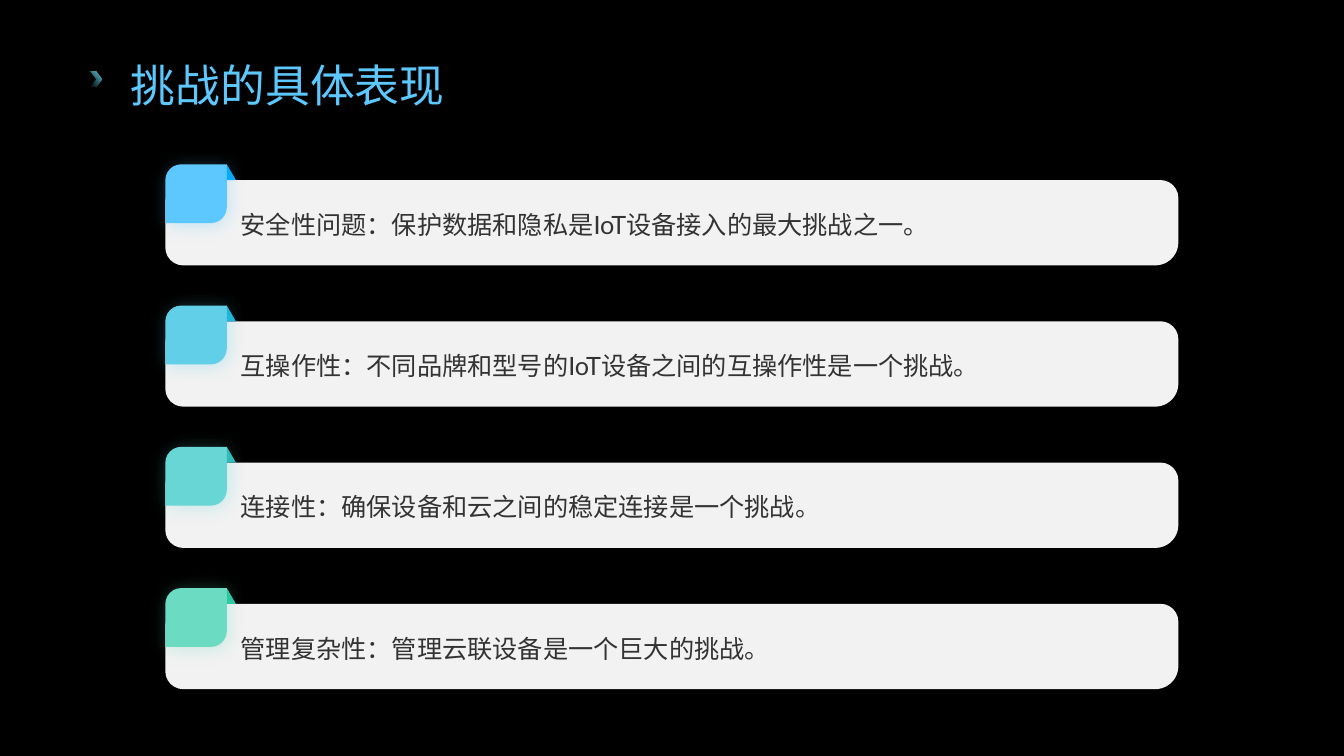
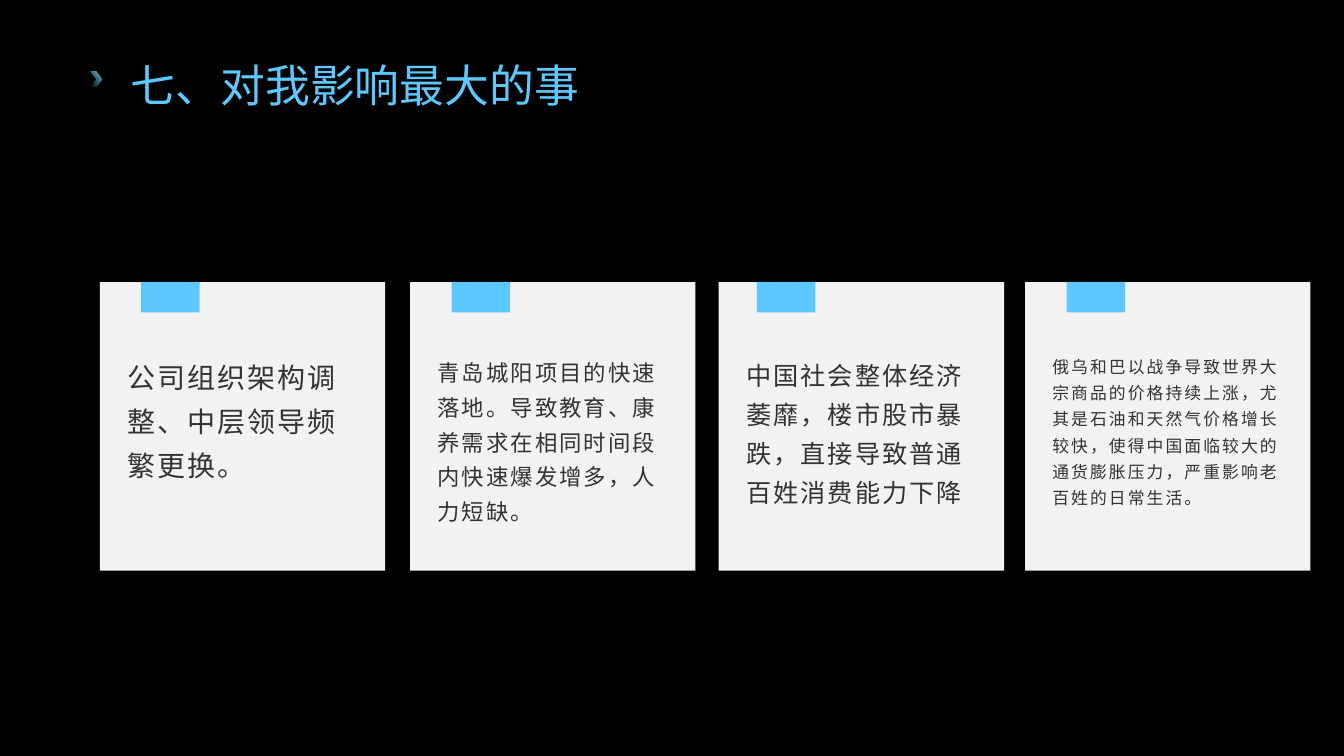
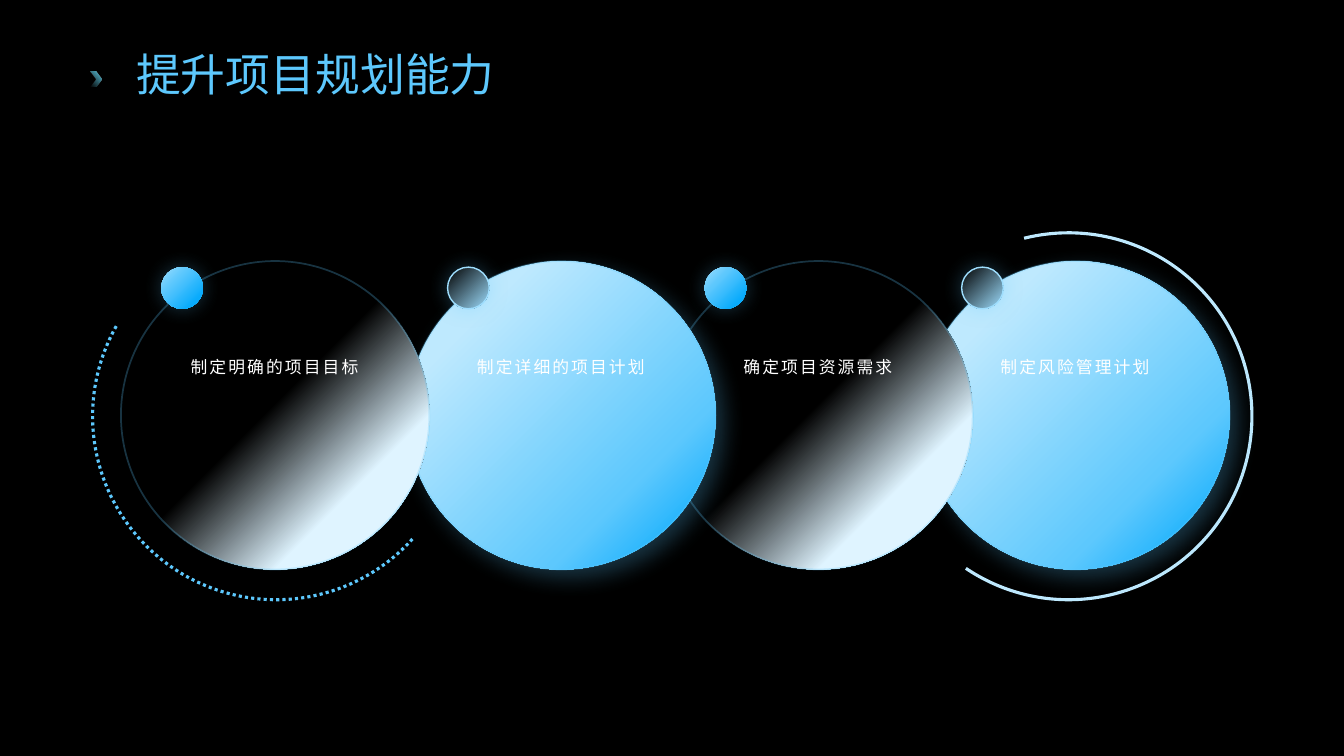
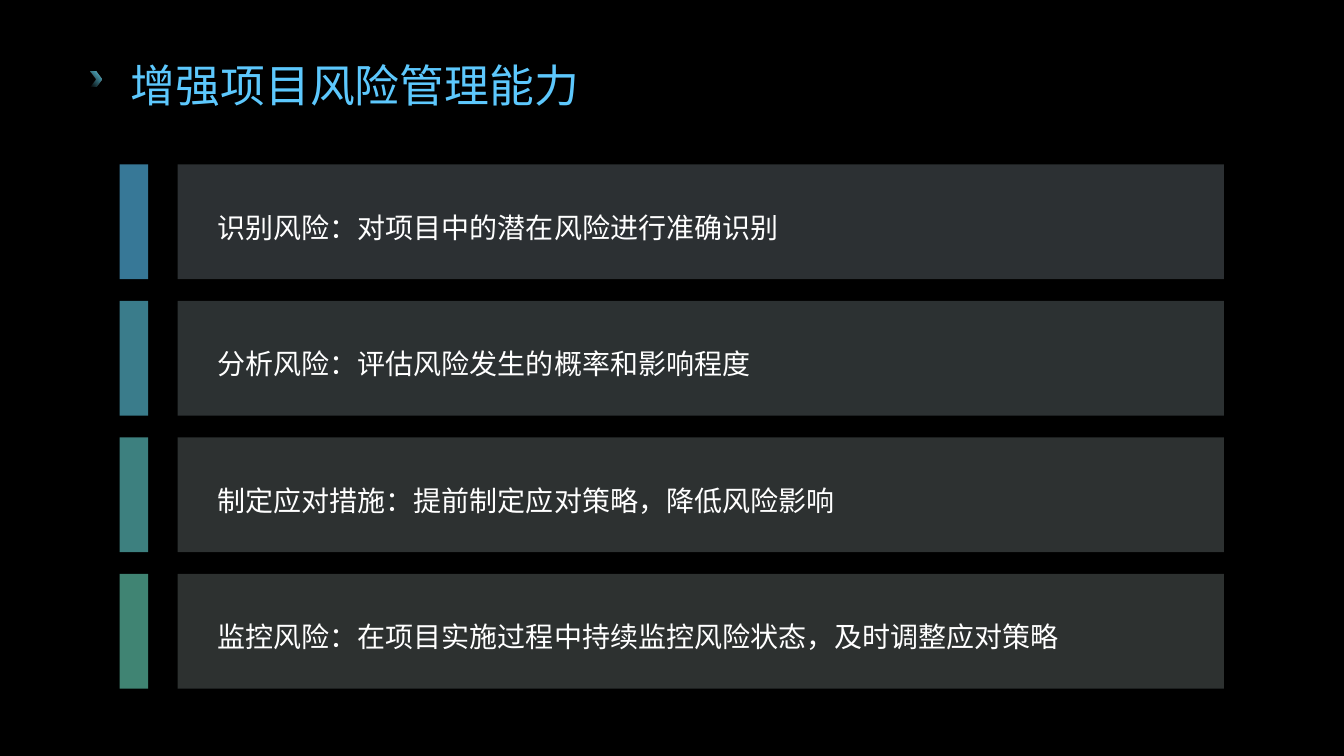
from dataclasses import dataclass
from typing import NamedTuple, Optional

from lxml.etree import SubElement
from pptx import Presentation
from pptx.dml.color import RGBColor
from pptx.enum.dml import MSO_LINE
from pptx.enum.shapes import MSO_SHAPE
from pptx.enum.text import MSO_ANCHOR, PP_ALIGN
from pptx.oxml.ns import qn
from pptx.shapes.autoshape import Shape
from pptx.slide import Slide
from pptx.util import Pt

BLACK = RGBColor(0x00, 0x00, 0x00)
WHITE = RGBColor(0xFF, 0xFF, 0xFF)
INK = RGBColor(0x33, 0x33, 0x33)
PANEL = RGBColor(0xF2, 0xF2, 0xF2)
SKY = RGBColor(0x5D, 0xC8, 0xFD)
CYAN = RGBColor(0x62, 0xCF, 0xE9)
TEAL = RGBColor(0x67, 0xD6, 0xD5)
MINT = RGBColor(0x6B, 0xDC, 0xC1)
DEEP_SKY = RGBColor(0x08, 0xAB, 0xFC)
DEEP_CYAN = RGBColor(0x1F, 0xB6, 0xDA)
DEEP_TEAL = RGBColor(0x33, 0xBB, 0xBA)
DEEP_MINT = RGBColor(0x2F, 0xC6, 0xA2)
SOFT_SKY = RGBColor(0x9E, 0xDE, 0xFE)
LIGHT_SKY = RGBColor(0xBE, 0xE9, 0xFE)
PALE_SKY = RGBColor(0xDF, 0xF4, 0xFF)
PALE_CYAN = RGBColor(0xE0, 0xF5, 0xFB)
PALE_TEAL = RGBColor(0xE1, 0xF7, 0xF7)
PALE_MINT = RGBColor(0xE1, 0xF8, 0xF3)

FONT = "Lato"


class Area(NamedTuple):
    left: float
    top: float
    width: float
    height: float


class Stop(NamedTuple):
    position: int
    colour: RGBColor
    opacity: int = 100


class Glow(NamedTuple):
    colour: RGBColor
    opacity: int
    blur: float
    distance: float
    angle: int


@dataclass(frozen=True)
class TextStyle:
    size: float
    colour: RGBColor
    line_spacing: float
    tracking: float = 0
    align: PP_ALIGN = PP_ALIGN.LEFT
    anchor: MSO_ANCHOR = MSO_ANCHOR.TOP
    insets: tuple[float, float, float, float] = (7.2, 3.6, 7.2, 3.6)


@dataclass(frozen=True)
class Challenge:
    text: str
    tab: RGBColor
    fold: RGBColor


@dataclass(frozen=True)
class Event:
    left: float
    tab_left: float
    size: float
    text: str


@dataclass(frozen=True)
class Goal:
    left: float
    text: str
    is_light: bool


@dataclass(frozen=True)
class Step:
    text: str
    marker: RGBColor
    band: RGBColor


TITLE = TextStyle(32, SKY, 1.2, anchor=MSO_ANCHOR.MIDDLE, insets=(7.2, 0, 7.2, 0))
CHALLENGE_TEXT = TextStyle(18, INK, 1.5, anchor=MSO_ANCHOR.MIDDLE, insets=(7.2, 0, 7.2, 8.6))
GOAL_TEXT = TextStyle(12, WHITE, 1.3, 1.5, PP_ALIGN.CENTER, insets=(0, 0, 0, 0))
STEP_TEXT = TextStyle(20, WHITE, 1.3, anchor=MSO_ANCHOR.MIDDLE)

CHEVRON_STOPS = [Stop(0, CYAN, 0), Stop(100, CYAN)]
LIGHT_DISC = [Stop(20, LIGHT_SKY), Stop(73, SKY), Stop(94, DEEP_SKY)]
DARK_DISC = [Stop(48, BLACK), Stop(75, PALE_SKY)]
DARK_DOT = [Stop(0, BLACK), Stop(100, SOFT_SKY)]
LIGHT_DOT = [Stop(0, SOFT_SKY), Stop(33, SKY), Stop(82, DEEP_SKY)]
DISC_GLOW = Glow(SKY, 25, 16, 8, 45)
DOT_GLOW = Glow(SKY, 28, 15, 0, 0)

CHALLENGES = [
    Challenge("安全性问题：保护数据和隐私是IoT设备接入的最大挑战之一。", SKY, DEEP_SKY),
    Challenge("互操作性：不同品牌和型号的IoT设备之间的互操作性是一个挑战。", CYAN, DEEP_CYAN),
    Challenge("连接性：确保设备和云之间的稳定连接是一个挑战。", TEAL, DEEP_TEAL),
    Challenge("管理复杂性：管理云联设备是一个巨大的挑战。", MINT, DEEP_MINT),
]
EVENTS = [
    Event(71.3, 100.8, 20, "公司组织架构调整、中层领导频繁更换。"),
    Event(293, 322.6, 16,
          "青岛城阳项目的快速落地。导致教育、康养需求在相同时间段内快速爆发增多，人力短缺。"),
    Event(513.4, 540.7, 18, "中国社会整体经济萎靡，楼市股市暴跌，直接导致普通百姓消费能力下降"),
    Event(732.2, 761.8, 12,
          "俄乌和巴以战争导致世界大宗商品的价格持续上涨，尤其是石油和天然气价格增长较快，"
          "使得中国面临较大的通货膨胀压力，严重影响老百姓的日常生活。"),
]
GOALS = [
    Goal(86.4, "制定明确的项目目标", False),
    Goal(290.9, "制定详细的项目计划", True),
    Goal(474.5, "确定项目资源需求", False),
    Goal(658.1, "制定风险管理计划", True),
]
STEPS = [
    Step("识别风险：对项目中的潜在风险进行准确识别", SKY, PALE_SKY),
    Step("分析风险：评估风险发生的概率和影响程度", CYAN, PALE_CYAN),
    Step("制定应对措施：提前制定应对策略，降低风险影响", TEAL, PALE_TEAL),
    Step("监控风险：在项目实施过程中持续监控风险状态，及时调整应对策略", MINT, PALE_MINT),
]


def add_figure(page: Slide, kind: MSO_SHAPE, area: Area, fill: Optional[RGBColor] = None) -> Shape:
    figure = page.shapes.add_shape(kind, *map(Pt, area))
    figure.shadow.inherit = False
    figure.line.fill.background()
    if fill is None:
        figure.fill.background()
    else:
        figure.fill.solid()
        figure.fill.fore_color.rgb = fill
    return figure


def set_line(figure: Shape, colour: RGBColor, width: float) -> None:
    figure.line.color.rgb = colour
    figure.line.width = Pt(width)


def set_opacity(figure: Shape, percent: int) -> None:
    for solid in figure._element.spPr.iter(qn("a:solidFill")):
        SubElement(solid[0], qn("a:alpha"), val=str(percent * 1000))


def set_gradient(figure: Shape, stops: list[Stop], clockwise: int = 45) -> None:
    figure.fill.gradient()
    figure.fill.gradient_angle = 360 - clockwise
    stop_list = figure._element.spPr.find(qn("a:gradFill")).find(qn("a:gsLst"))
    stop_list.clear()
    for stop in stops:
        entry = SubElement(stop_list, qn("a:gs"), pos=str(stop.position * 1000))
        colour = SubElement(entry, qn("a:srgbClr"), val=str(stop.colour))
        SubElement(colour, qn("a:alpha"), val=str(stop.opacity * 1000))


def set_glow(figure: Shape, glow: Glow) -> None:
    effects = figure._element.spPr.find(qn("a:effectLst"))
    shadow = SubElement(
        effects, qn("a:outerShdw"), blurRad=str(Pt(glow.blur)), dist=str(Pt(glow.distance)),
        dir=str(glow.angle * 60000), algn="ctr", rotWithShape="0")
    colour = SubElement(shadow, qn("a:srgbClr"), val=str(glow.colour))
    SubElement(colour, qn("a:alpha"), val=str(glow.opacity * 1000))


def add_text(page: Slide, area: Area, text: str, style: TextStyle) -> None:
    frame = page.shapes.add_textbox(*map(Pt, area)).text_frame
    frame.word_wrap = True
    frame.vertical_anchor = style.anchor
    (frame.margin_left, frame.margin_top,
     frame.margin_right, frame.margin_bottom) = map(Pt, style.insets)
    para = frame.paragraphs[0]
    para.alignment = style.align
    para.line_spacing = style.line_spacing
    span = para.add_run()
    span.text = text
    span.font.name = FONT
    span.font.size = Pt(style.size)
    span.font.color.rgb = style.colour
    properties = span._r.get_or_add_rPr()
    properties.set("lang", "zh-CN")
    if style.tracking:
        properties.set("spc", str(int(style.tracking * 100)))


def add_page(deck: Presentation, title: str, left: float = 86.4, top: float = 32.4) -> Slide:
    page = deck.slides.add_slide(deck.slide_layouts[6])
    chevron = add_figure(page, MSO_SHAPE.CHEVRON, Area(64.5, 51, 8.2, 10.9))
    set_gradient(chevron, CHEVRON_STOPS, 315)
    add_text(page, Area(left, top, 825, 48.2), title, TITLE)
    return page


def draw_challenge(page: Slide, challenge: Challenge, top: float) -> None:
    left, tab_width = 118.1, 43.9
    bar = add_figure(page, MSO_SHAPE.ROUND_2_DIAG_RECTANGLE, Area(left, top + 11.2, 723.6, 61), PANEL)
    bar.adjustments[0], bar.adjustments[1] = 0.27, 0.21
    tab = add_figure(page, MSO_SHAPE.ROUND_2_DIAG_RECTANGLE,
                     Area(left, top, tab_width, 42), challenge.tab)
    tab.adjustments[0], tab.adjustments[1] = 0.27, 0
    set_glow(tab, Glow(challenge.tab, 31, 13, 2, 45))
    add_figure(page, MSO_SHAPE.RIGHT_TRIANGLE,
               Area(left + tab_width, top, 6.5, 11.2), challenge.fold)
    add_text(page, Area(164.9, top + 11.9, 653.8, 59.8), challenge.text, CHALLENGE_TEXT)


def draw_event(page: Slide, event: Event) -> None:
    top = 201.6
    add_figure(page, MSO_SHAPE.RECTANGLE, Area(event.left, top, 203.8, 206), PANEL)
    add_figure(page, MSO_SHAPE.RECTANGLE, Area(event.tab_left, top, 41.8, 21.6), SKY)
    add_text(page, Area(event.left + 12.4, 247, 179.3, 144.7), event.text,
             TextStyle(event.size, INK, 1.3, 1.5))


def draw_arc(page: Slide, left: float, start: float, end: float, colour: RGBColor) -> Shape:
    arc = add_figure(page, MSO_SHAPE.ARC, Area(left, 166.3, 262.1, 262.1))
    arc.adjustments[0], arc.adjustments[1] = start * 0.6, end * 0.6
    set_line(arc, colour, 2.25)
    return arc


def draw_goal(page: Slide, goal: Goal) -> None:
    disc = add_figure(page, MSO_SHAPE.OVAL, Area(goal.left, 186.5, 220.3, 220.3))
    set_gradient(disc, LIGHT_DISC if goal.is_light else DARK_DISC)
    set_line(disc, SKY, 1.25)
    set_opacity(disc, 25)
    dot = add_figure(page, MSO_SHAPE.OVAL, Area(goal.left + 28.8, 190.8, 29.8, 29.8))
    set_gradient(dot, DARK_DOT if goal.is_light else LIGHT_DOT)
    set_glow(dot, DOT_GLOW)
    if goal.is_light:
        set_glow(disc, DISC_GLOW)
        set_line(dot, SOFT_SKY, 1)
    add_text(page, Area(goal.left + 33.8, 250.6, 151.9, 104.4), goal.text, GOAL_TEXT)


def draw_step(page: Slide, step: Step, top: float) -> None:
    height = 82
    band = add_figure(page, MSO_SHAPE.RECTANGLE, Area(126.9, top, 747.4, height), step.band)
    set_opacity(band, 20)
    marker = add_figure(page, MSO_SHAPE.RECTANGLE, Area(85.4, top, 20.4, height), step.marker)
    set_opacity(marker, 60)
    add_text(page, Area(148.3, top + 7.2, 715, height - 14.4), step.text, STEP_TEXT)


def main() -> None:
    deck = Presentation()
    deck.slide_width, deck.slide_height = Pt(960), Pt(540)
    backdrop = deck.slide_master.background.fill
    backdrop.solid()
    backdrop.fore_color.rgb = BLACK

    page = add_page(deck, "挑战的具体表现")
    for index, challenge in enumerate(CHALLENGES):
        draw_challenge(page, challenge, 117.4 + 100.9 * index)

    page = add_page(deck, "七、对我影响最大的事")
    for event in EVENTS:
        draw_event(page, event)

    page = add_page(deck, "提升项目规划能力", 90.2, 24.5)
    draw_arc(page, 632.2, 256, 124, LIGHT_SKY)
    dotted_arc = draw_arc(page, 66.2, 42, 210, SKY)
    dotted_arc.line.dash_style = MSO_LINE.ROUND_DOT
    for goal in reversed(GOALS):
        draw_goal(page, goal)

    page = add_page(deck, "增强项目风险管理能力")
    for index, step in enumerate(STEPS):
        draw_step(page, step, 117.4 + 97.5 * index)

    deck.save("out.pptx")


if __name__ == "__main__":
    main()
